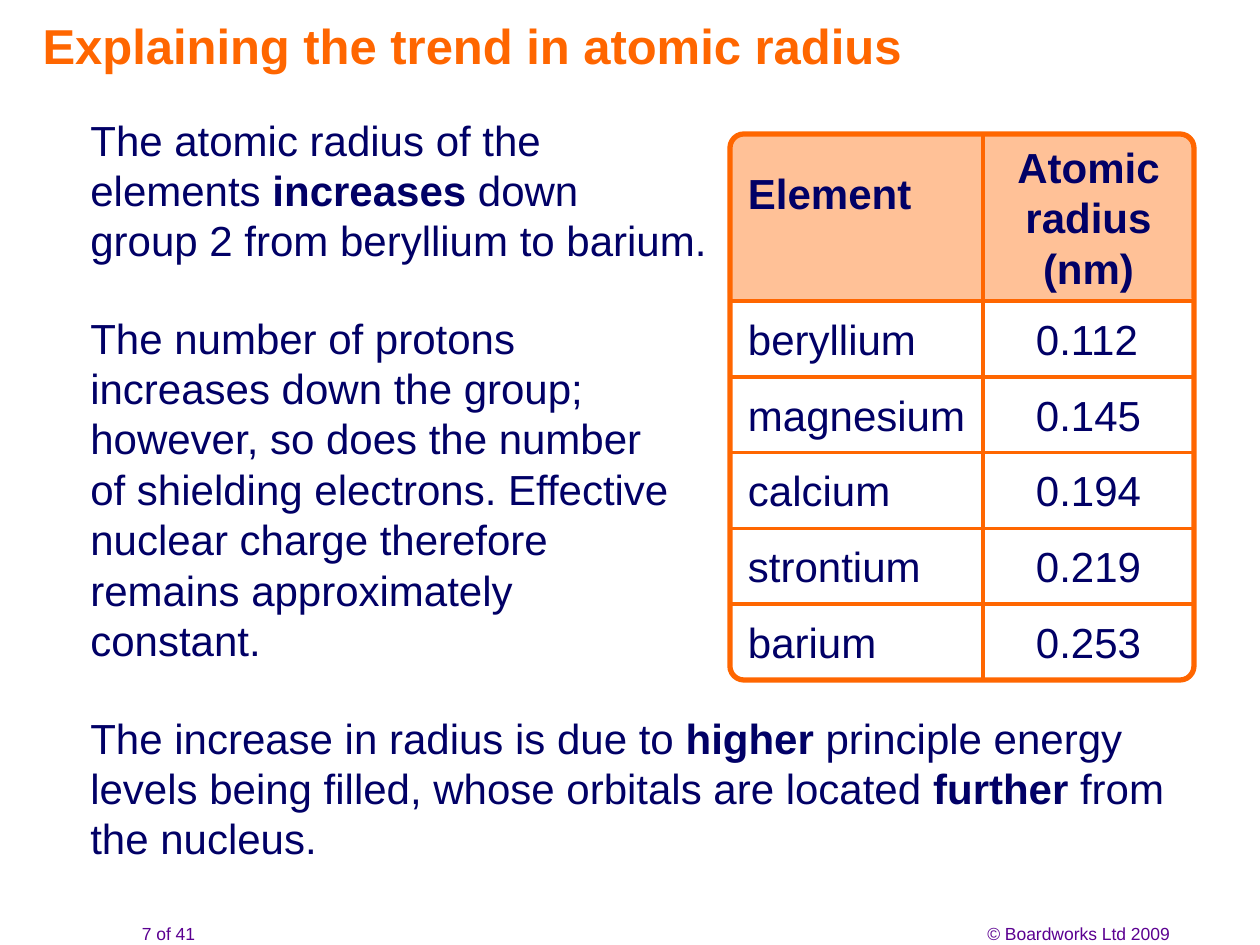
from lxml import etree
from pptx import Presentation
from pptx import util as u
from pptx.dml.color import RGBColor
from pptx.enum import shapes, text
from pptx.oxml import ns

ORANGE = RGBColor(0xFF, 0x66, 0x00)
PEACH = RGBColor(0xFF, 0xC1, 0x97)
NAVY = RGBColor(0x01, 0x00, 0x66)
PURPLE = RGBColor(0x5B, 0x00, 0x91)
PX = 914400 / 126
LEFT, CENTER, RIGHT = text.PP_ALIGN.LEFT, text.PP_ALIGN.CENTER, text.PP_ALIGN.RIGHT
NO_STYLE = "{2D5ABB26-0587-4C30-8999-92F81FD0307C}"


def px(*lengths):
    return [u.Emu(round(length * PX)) for length in lengths]


def write(frame, words, size=24, color=NAVY, align=LEFT, bold=False):
    """Fill a text frame; asterisks enclose bold words, \n breaks a line."""
    frame.word_wrap = True
    para = frame.paragraphs[0]
    para.alignment = align
    for number, part in enumerate(words.split("*")):
        for row, line in enumerate(part.split("\n")):
            if row:
                para.add_line_break()
            span = para.add_run()
            span.text = line
            span.font.name = "Arial"
            span.font.size = u.Pt(size)
            span.font.bold = bold or number % 2 == 1
            span.font.color.rgb = color


deck = Presentation()
deck.slide_width, deck.slide_height = px(1260, 945)
page = deck.slides.add_slide(deck.slide_layouts[5])

# Title
title = page.shapes.title
title.left, title.top, title.width, title.height = px(30, 7, 998, 76)
title.text_frame.vertical_anchor = text.MSO_ANCHOR.MIDDLE
title.text_frame.auto_size = text.MSO_AUTO_SIZE.NONE
write(title.text_frame, "Explaining the trend in atomic radius", 28, ORANGE, bold=True)

# Explanations
explanations = [
    ((78, 108, 660, 164), "The atomic radius of the \nelements *increases* down \n"
     "group 2 from beryllium to barium."),
    ((78, 306, 605, 365), "The number of protons increases down the group; however, so does "
     "the number of shielding electrons. Effective nuclear charge therefore remains "
     "approximately constant."),
    ((78, 706, 1149, 164), "The increase in radius is due to *higher* principle energy levels "
     "being filled, whose orbitals are located *further* from the nucleus."),
]
for place, words in explanations:
    write(page.shapes.add_textbox(*px(*place)).text_frame, words)

# Footer
for place, words, align in [((123, 917, 91, 34), "7 of 41", CENTER),
                            ((888, 917, 294, 34), "© Boardworks Ltd 2009", RIGHT)]:
    write(page.shapes.add_textbox(*px(*place)).text_frame, words, 10, PURPLE, align)

# Rounded header panel behind the table
panel = page.shapes.add_shape(shapes.MSO_SHAPE.ROUNDED_RECTANGLE, *px(728, 136, 466, 166))
panel.adjustments[0] = 0.06
panel.shadow.inherit = False
panel.fill.solid()
panel.fill.fore_color.rgb = PEACH
panel.line.fill.background()

# Table of radii
records = [("Element", "Atomic\nradius\n(nm)"), ("beryllium", "0.112"), ("magnesium", "0.145"),
           ("calcium", "0.194"), ("strontium", "0.219"), ("barium", "0.253")]
left, top, width, height = 730, 134, 464, 546
header_height, first_width = 167, 253
row_height = (height - header_height) / (len(records) - 1)
table = page.shapes.add_table(len(records), 2, *px(left, top, width, height)).table
table.first_row = table.horz_banding = False
table._tbl.tblPr.find(ns.qn("a:tableStyleId")).text = NO_STYLE
table.columns[0].width, table.columns[1].width = px(first_width, width - first_width)
for r, record in enumerate(records):
    header = r == 0
    table.rows[r].height = px(header_height if header else row_height)[0]
    for c, words in enumerate(record):
        cell = table.cell(r, c)
        raised = header and c == 0
        cell.margin_left, cell.margin_right, cell.margin_top, cell.margin_bottom = px(
            18 if c == 0 else 0 if header else 53, 0, 34 if raised else 0, 0)
        cell.vertical_anchor = text.MSO_ANCHOR.TOP if raised else text.MSO_ANCHOR.MIDDLE
        cell.fill.background()
        write(cell.text_frame, words, align=CENTER if header and c else LEFT, bold=header)
        cell.text_frame.paragraphs[0].line_spacing = u.Pt(28.8)

# Rules between the columns and rows
column = left + first_width
rules = [(column, top, column, top + height)]
for r in range(len(records) - 1):
    y = top + header_height + r * row_height
    rules.append((left, y, left + width, y))
for ends in rules:
    rule = page.shapes.add_connector(shapes.MSO_CONNECTOR.STRAIGHT, *px(*ends))
    rule.line.color.rgb = ORANGE
    rule.line.width = u.Pt(2)
    etree.SubElement(rule._element.spPr, ns.qn("a:effectLst"))

# Rounded frame around the table
frame = page.shapes.add_shape(shapes.MSO_SHAPE.ROUNDED_RECTANGLE, *px(left, top, width, height))
frame.adjustments[0] = 0.03
frame.shadow.inherit = False
frame.fill.background()
frame.line.color.rgb = ORANGE
frame.line.width = u.Pt(3)

deck.save("out.pptx")
